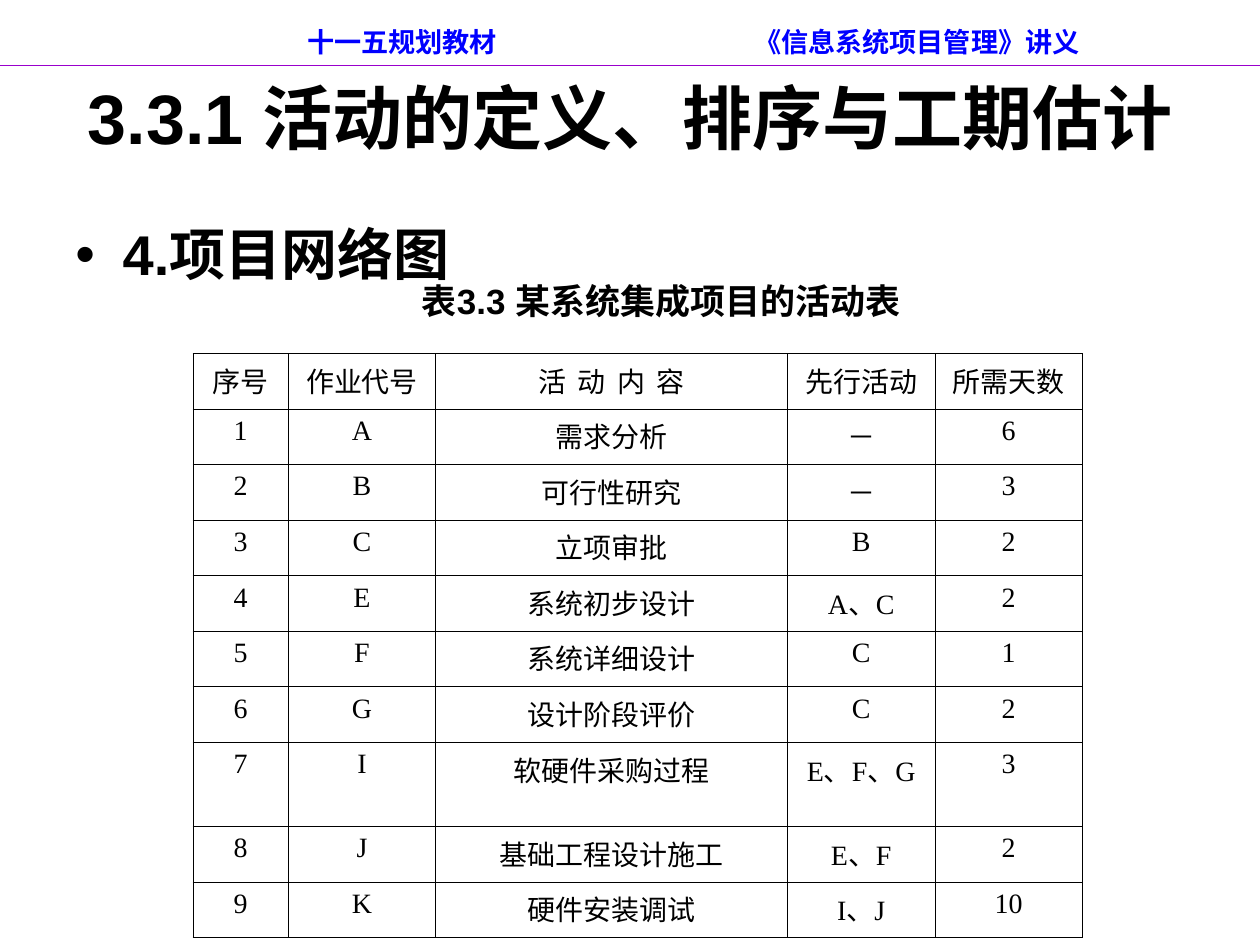
from lxml.etree import SubElement
from pptx import Presentation
from pptx.dml.color import RGBColor
from pptx.enum.shapes import MSO_CONNECTOR as Connector
from pptx.enum.text import MSO_ANCHOR as Anchor, MSO_AUTO_SIZE as AutoSize, PP_ALIGN as Align
from pptx.oxml.ns import qn
from pptx.util import Pt

COLORS = {"text": "000000", "header": "0000FF", "rule": "9900CC", "border": "000000"}
HEADER = ("十一五规划教材", "《信息系统项目管理》讲义")
TITLE = "3.3.1 活动的定义、排序与工期估计"
HEADING = "4.项目网络图"
CAPTION = "表3.3 某系统集成项目的活动表"
ACTIVITIES = [
    ("序号", "作业代号", "活 动 内 容", "先行活动", "所需天数"),
    ("1", "A", "需求分析", "－", "6"),
    ("2", "B", "可行性研究", "－", "3"),
    ("3", "C", "立项审批", "B", "2"),
    ("4", "E", "系统初步设计", "A、C", "2"),
    ("5", "F", "系统详细设计", "C", "1"),
    ("6", "G", "设计阶段评价", "C", "2"),
    ("7", "I", "软硬件采购过程", "E、F、G", "3"),
    ("8", "J", "基础工程设计施工", "E、F", "2"),
    ("9", "K", "硬件安装调试", "I、J", "10"),
]
COLUMN_WIDTHS = (54.5, 84.3, 201, 84.3, 84.3)
ROW_HEIGHT, TALL_ROW, TALL_HEIGHT = 31.75, 7, 38.25
SPACED_CELL = (0, 2)


def write(paragraph, text, size=16, font="Arial", color="text", bold=True,
          align=Align.CENTER, line_spacing=None, indent=None, bullet=None, tab=None, spacing=0):
    """Fill a paragraph with formatted text."""
    properties = paragraph._p.get_or_add_pPr()
    if indent:
        left, first = indent
        properties.set("marL", str(Pt(left)))
        properties.set("indent", str(Pt(first)))
    paragraph.alignment = align
    if line_spacing:
        paragraph.line_spacing = line_spacing
    if bullet:
        SubElement(properties, qn("a:buFont"), typeface="Arial")
        SubElement(properties, qn("a:buChar"), char=bullet)
    if tab:
        tabs = SubElement(properties, qn("a:tabLst"))
        SubElement(tabs, qn("a:tab"), pos=str(Pt(tab)), algn="l")
    run = paragraph.add_run()
    run.text = text
    run.font.size, run.font.name, run.font.bold = Pt(size), font, bold
    run.font.color.rgb = RGBColor.from_string(COLORS[color])
    if spacing:
        run._r.get_or_add_rPr().set("spc", str(round(spacing * 100)))


def add_text_frame(slide, left, top, width, height):
    """Add a wrapping text box and return its frame."""
    frame = slide.shapes.add_textbox(Pt(left), Pt(top), Pt(width), Pt(height)).text_frame
    frame.word_wrap = True
    frame.auto_size = AutoSize.NONE
    return frame


def add_borders(cell):
    """Draw a thin line on each side of a cell."""
    properties = cell._tc.get_or_add_tcPr()
    for position, side in enumerate(("a:lnL", "a:lnR", "a:lnT", "a:lnB")):
        line = properties.makeelement(qn(side), {"w": str(Pt(0.45))})
        fill = SubElement(line, qn("a:solidFill"))
        SubElement(fill, qn("a:srgbClr"), val=COLORS["border"])
        properties.insert(position, line)


def add_activity_table(slide, left, top):
    """Add the table of project activities."""
    heights = [TALL_HEIGHT if row == TALL_ROW else ROW_HEIGHT for row in range(len(ACTIVITIES))]
    table = slide.shapes.add_table(len(heights), len(COLUMN_WIDTHS), Pt(left), Pt(top),
                                   Pt(sum(COLUMN_WIDTHS)), Pt(sum(heights))).table
    table.first_row = table.horz_banding = False
    for column, width in zip(table.columns, COLUMN_WIDTHS):
        column.width = Pt(width)
    for row, height in zip(table.rows, heights):
        row.height = Pt(height)
    for row_index, values in enumerate(ACTIVITIES):
        for column_index, value in enumerate(values):
            cell = table.cell(row_index, column_index)
            cell.margin_left = cell.margin_right = Pt(5.75)
            cell.margin_top = cell.margin_bottom = Pt(3.6)
            cell.fill.background()
            add_borders(cell)
            spacing = 1.5 if (row_index, column_index) == SPACED_CELL else 0
            write(cell.text_frame.paragraphs[0], value, font="Times New Roman",
                  bold=False, spacing=spacing)


def main():
    """Build the slide and save it."""
    presentation = Presentation()
    presentation.slide_width, presentation.slide_height = Pt(720), Pt(540)
    slide = presentation.slides.add_slide(presentation.slide_layouts[5])

    title = slide.shapes.title
    title.left, title.top, title.width, title.height = Pt(36), Pt(21.6), Pt(648), Pt(90)
    title.text_frame.vertical_anchor = Anchor.MIDDLE
    title.text_frame.auto_size = AutoSize.NONE
    write(title.text_frame.paragraphs[0], TITLE, size=40)

    body = add_text_frame(slide, 36, 126, 648, 110)
    write(body.paragraphs[0], HEADING, size=32, align=Align.LEFT, line_spacing=0.9,
          indent=(27, -27), bullet="•")
    write(body.add_paragraph(), CAPTION, size=20, line_spacing=0.8, indent=(58.5, -22.5))

    rule = slide.shapes.add_connector(Connector.STRAIGHT, Pt(0), Pt(37.5), Pt(720), Pt(37.5))
    rule.line.color.rgb = RGBColor.from_string(COLORS["rule"])
    rule.line.width = Pt(0.75)
    SubElement(rule._element.spPr, qn("a:effectLst"))

    header = add_text_frame(slide, 72, 10, 648, 27.5)
    header.margin_left = Pt(103.5)
    header.vertical_anchor = Anchor.MIDDLE
    write(header.paragraphs[0], "\t".join(HEADER), size=15.5, color="header",
          align=Align.LEFT, tab=255.5)

    add_activity_table(slide, 110.25, 202)
    presentation.save("out.pptx")


if __name__ == "__main__":
    main()
